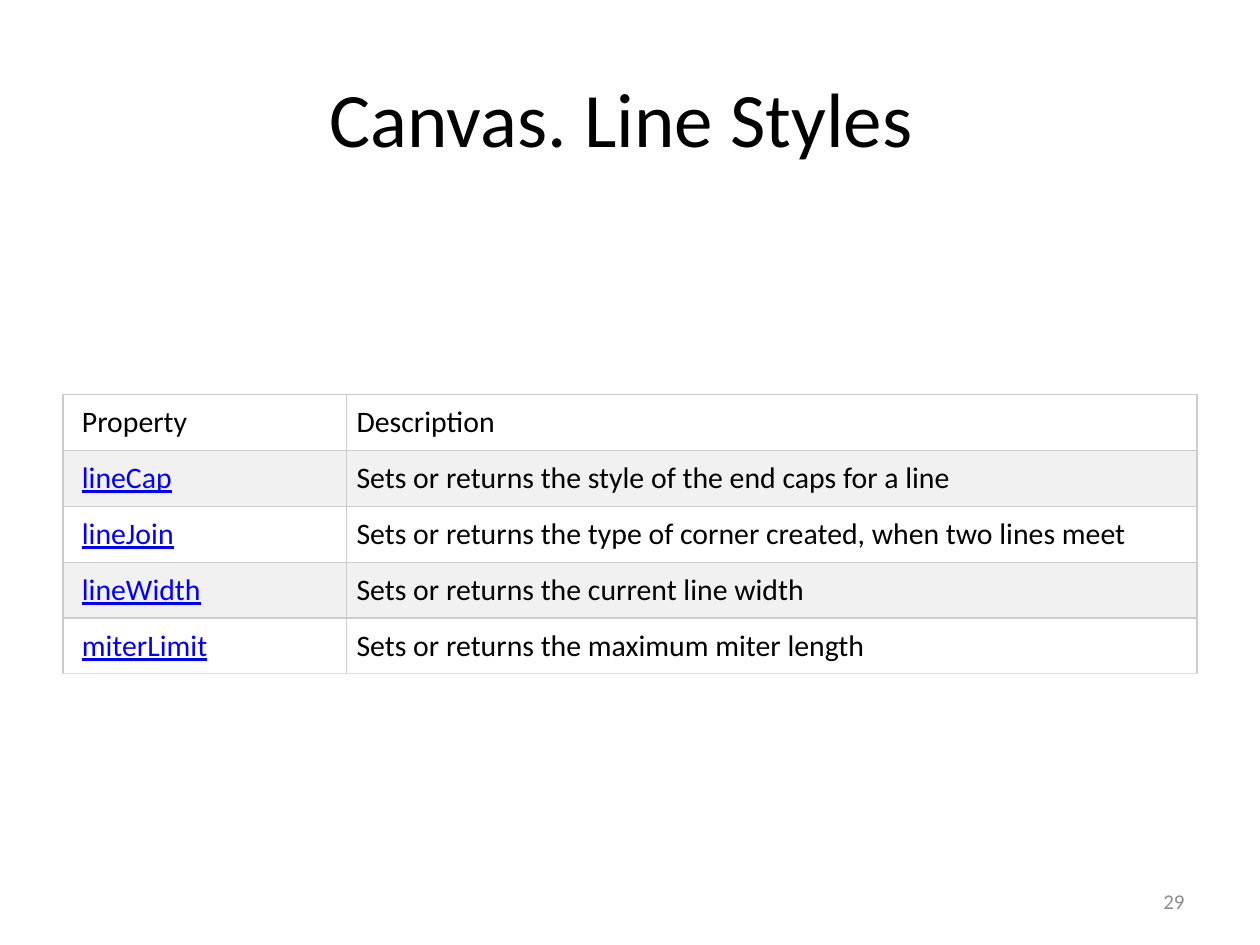
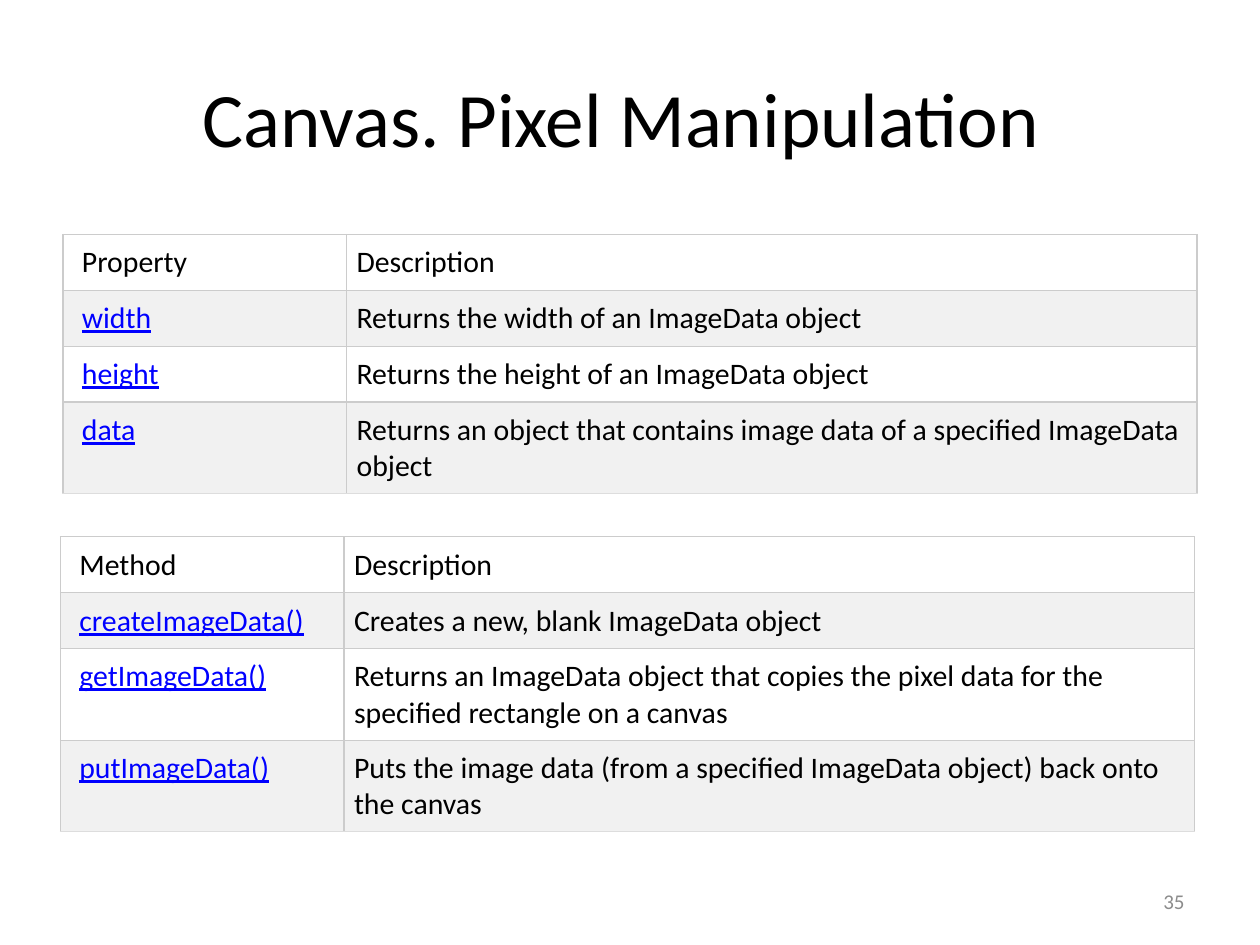
from lxml.etree import SubElement
from pptx import Presentation
from pptx.dml.color import RGBColor
from pptx.enum.text import MSO_ANCHOR, PP_ALIGN
from pptx.oxml.ns import qn
from pptx.util import Inches, Pt

FONT = "Calibri"
BLACK = RGBColor(0x00, 0x00, 0x00)
WHITE = RGBColor(0xFF, 0xFF, 0xFF)
BAND = RGBColor(0xF1, 0xF1, 0xF1)
LINK = RGBColor(0x00, 0x00, 0xFF)
NUMBER = RGBColor(0x8C, 0x8C, 0x8C)
BORDER = RGBColor(0xCC, 0xCC, 0xCC)
BOTTOM_BORDER = RGBColor(0xDD, 0xDD, 0xDD)

TITLE_BOX = (0.5, 0.3, 9, 1.25)
NUMBER_BOX = (7.17, 6.95, 2.33, 0.4)
COLUMN_SHARES = (0.25, 0.75)
ROW_HEIGHTS = {1: 0.43, 2: 0.71}
PADDING = 0.08
FIRST_PADDING = 0.15

LINE_STYLES = [
    ("Property", "Description", 1),
    ("lineCap", "Sets or returns the style of the end caps for a line", 1),
    ("lineJoin", "Sets or returns the type of corner created, when two lines meet", 1),
    ("lineWidth", "Sets or returns the current line width", 1),
    ("miterLimit", "Sets or returns the maximum miter length", 1),
]
PIXEL_PROPERTIES = [
    ("Property", "Description", 1),
    ("width", "Returns the width of an ImageData object", 1),
    ("height", "Returns the height of an ImageData object", 1),
    ("data", "Returns an object that contains image data of a specified ImageData object", 2),
]
PIXEL_METHODS = [
    ("Method", "Description", 1),
    ("createImageData()", "Creates a new, blank ImageData object", 1),
    ("getImageData()", "Returns an ImageData object that copies the pixel data "
     "for the specified rectangle on a canvas", 2),
    ("putImageData()", "Puts the image data (from a specified ImageData object) "
     "back onto the canvas", 2),
]
PAGES = [
    ("Canvas. Line Styles ", "29", [((0.5, 3.13, 9), LINE_STYLES)]),
    ("Canvas. Pixel Manipulation ", "35", [
        ((0.5, 1.86, 9), PIXEL_PROPERTIES),
        ((0.48, 4.26, 9), PIXEL_METHODS),
    ]),
]


def style_font(paragraph, size, color):
    font = paragraph.font
    font.name = FONT
    font.size = Pt(size)
    font.color.rgb = color


def add_text(page, box, text, size, color, alignment):
    shape = page.shapes.add_textbox(*map(Inches, box))
    frame = shape.text_frame
    frame.word_wrap = True
    frame.vertical_anchor = MSO_ANCHOR.MIDDLE
    paragraph = frame.paragraphs[0]
    paragraph.text = text
    paragraph.alignment = alignment
    style_font(paragraph, size, color)


def set_borders(cell, bottom_color):
    properties = cell._tc.get_or_add_tcPr()
    for side in ("L", "R", "T", "B"):
        line = SubElement(properties, qn(f"a:ln{side}"), w=str(Pt(0.75)))
        fill = SubElement(line, qn("a:solidFill"))
        color = bottom_color if side == "B" else BORDER
        SubElement(fill, qn("a:srgbClr"), val=str(color))


def fill_cell(cell, text, is_first, is_link, background, bottom_color):
    cell.margin_left = Inches(FIRST_PADDING if is_first else PADDING)
    cell.margin_right = cell.margin_top = cell.margin_bottom = Inches(PADDING)
    set_borders(cell, bottom_color)
    cell.fill.solid()
    cell.fill.fore_color.rgb = background
    paragraph = cell.text_frame.paragraphs[0]
    span = paragraph.add_run()
    span.text = text
    style_font(paragraph, 17, BLACK)
    if is_link:
        span.font.color.rgb = LINK
        span.font.underline = True


def add_reference_table(page, box, entries):
    left, top, width = box
    heights = [ROW_HEIGHTS[lines] for *_, lines in entries]
    frame = page.shapes.add_table(len(entries), len(COLUMN_SHARES), Inches(left),
                                  Inches(top), Inches(width), Inches(sum(heights)))
    table = frame.table
    table.first_row = False
    table.horz_banding = False
    for column, share in zip(table.columns, COLUMN_SHARES):
        column.width = Inches(width * share)
    for index, (name, description, _) in enumerate(entries):
        table.rows[index].height = Inches(heights[index])
        background = BAND if index % 2 else WHITE
        bottom_color = BOTTOM_BORDER if index == len(entries) - 1 else BORDER
        for position, text in enumerate((name, description)):
            is_first = position == 0
            fill_cell(table.cell(index, position), text, is_first,
                      is_first and index > 0, background, bottom_color)


def add_page(deck, title, number, tables):
    page = deck.slides.add_slide(deck.slide_layouts[6])
    add_text(page, TITLE_BOX, title, 44, BLACK, PP_ALIGN.CENTER)
    add_text(page, NUMBER_BOX, number, 12, NUMBER, PP_ALIGN.RIGHT)
    for box, entries in tables:
        add_reference_table(page, box, entries)


def main():
    deck = Presentation()
    deck.slide_width = Inches(10)
    deck.slide_height = Inches(7.5)
    for title, number, tables in PAGES:
        add_page(deck, title, number, tables)
    deck.save("out.pptx")


if __name__ == "__main__":
    main()
